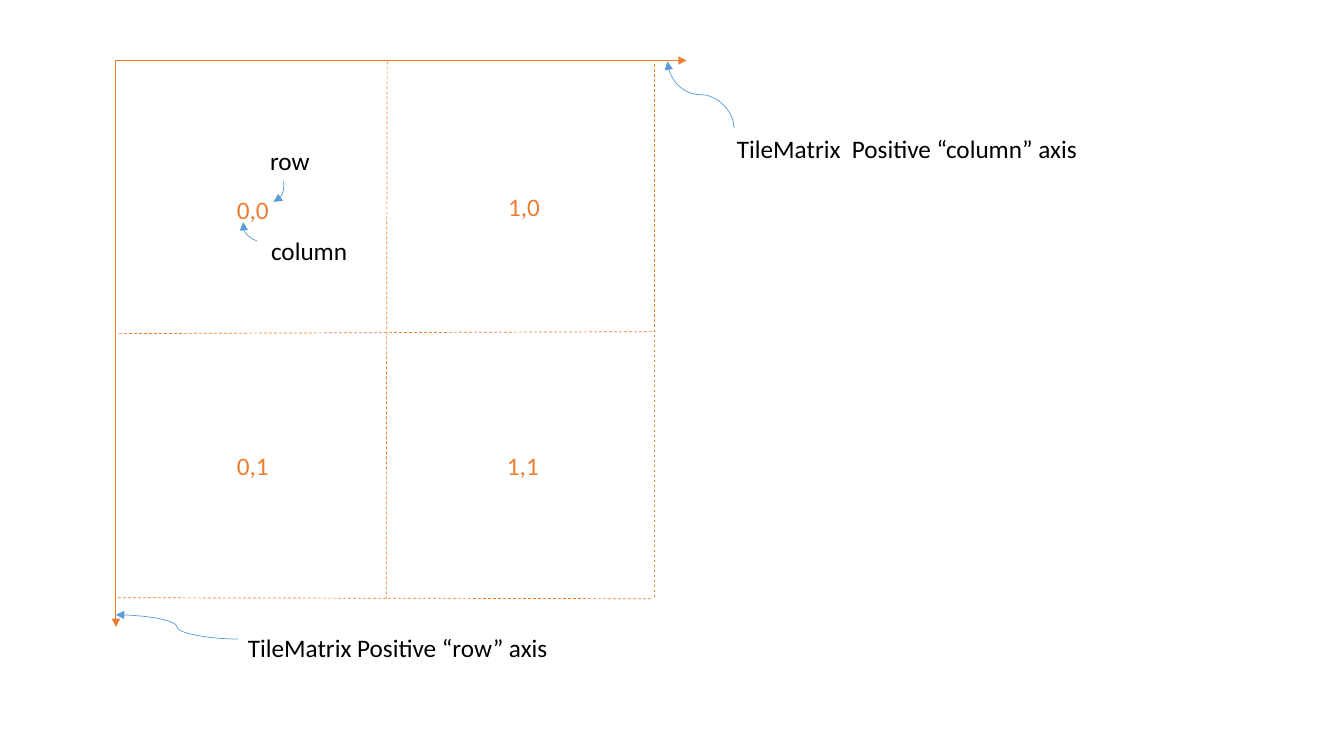
from pptx import Presentation
from pptx.dml.color import RGBColor
from pptx.enum.dml import MSO_LINE
from pptx.enum.shapes import MSO_CONNECTOR as Link, MSO_SHAPE as Form
from pptx.enum.text import MSO_AUTO_SIZE as Fit
from pptx.oxml.ns import qn
from pptx.util import Inches, Pt
from lxml.etree import SubElement

ORANGE, BLUE, BLACK = "ED7D31", "5B9BD5", "000000"

# Content: text, left, top, width, colour
LABELS = [
    ("0,0", 2.25, 1.88, 1.38, ORANGE),
    ("0,1", 2.25, 4.42, 1.38, ORANGE),
    ("1,0", 4.94, 1.85, 1.38, ORANGE),
    ("1,1", 4.93, 4.42, 1.38, ORANGE),
    ("TileMatrix  Positive “column” axis", 7.21, 1.27, 4.08, BLACK),
    ("TileMatrix Positive “row” axis", 2.36, 6.22, 3.47, BLACK),
    ("column", 2.59, 2.29, 1.04, BLACK),
    ("row", 2.58, 1.39, 1.04, BLACK),
]
# Start x, y and end x, y
GRID = [
    (3.84, 0.61, 3.83, 5.94),
    (6.49, 0.64, 6.49, 5.94),
    (1.17, 5.93, 6.47, 5.94),
    (1.18, 3.31, 6.5, 3.29),
]
AXES = [(1.15, 0.6, 6.81, 0.6), (1.15, 0.6, 1.15, 6.22)]
# Ends before turning, then the turn in degrees
CURVES = [((6.62, 1.27, 7.28, 0.61), 270), ((2.36, 6.34, 1.15, 6.1), 0)]
# Left, top and turn of the small pointers
ARCS = [(2.4, 2.14, 20), (2.49, 1.68, 261.6)]

deck = Presentation()
deck.slide_width, deck.slide_height = Inches(13.33), Inches(7.5)
slide = deck.slides.add_slide(deck.slide_layouts[6])
shapes = slide.shapes


def rgb(code):
    return RGBColor.from_string(code)


def stroke(item, color, width, arrow=True):
    item.line.color.rgb = rgb(color)
    item.line.width = Pt(width)
    if arrow:
        ln = item.line._get_or_add_ln()
        SubElement(ln, qn("a:tailEnd"), type="triangle")


def join(ends, color, width, kind=Link.STRAIGHT, arrow=True):
    item = shapes.add_connector(kind, *map(Inches, ends))
    stroke(item, color, width, arrow)
    SubElement(item._element.spPr, qn("a:effectLst"))
    return item


def label(text, left, top, width, color):
    box = shapes.add_textbox(*map(Inches, (left, top, width, 0.4)))
    frame = box.text_frame
    frame.word_wrap = True
    frame.auto_size = Fit.SHAPE_TO_FIT_TEXT
    run = frame.paragraphs[0].add_run()
    run.text = text
    run.font.name, run.font.size = "Calibri", Pt(18)
    run.font.color.rgb = rgb(color)


# Tile grid and axes
for ends in GRID:
    join(ends, ORANGE, 0.5, arrow=False).line.dash_style = MSO_LINE.DASH
for ends in AXES:
    join(ends, ORANGE, 0.75)

# Curved pointers to the axes
for ends, turn in CURVES:
    curve = join(ends, BLUE, 0.5, Link.CURVE)
    if turn:
        curve._element.spPr.xfrm.set("rot", str(turn * 60000))

# Arc pointers to the tile indices
for left, top, turn in ARCS:
    arc = shapes.add_shape(Form.ARC, *map(Inches, (left, top, 0.39, 0.26)))
    arc.shadow.inherit = False
    arc.fill.background()
    arc.rotation = turn
    for flip in ("flipH", "flipV"):
        arc._element.spPr.xfrm.set(flip, "1")
    stroke(arc, BLUE, 0.5)

# Labels
for row in LABELS:
    label(*row)

deck.save("out.pptx")
